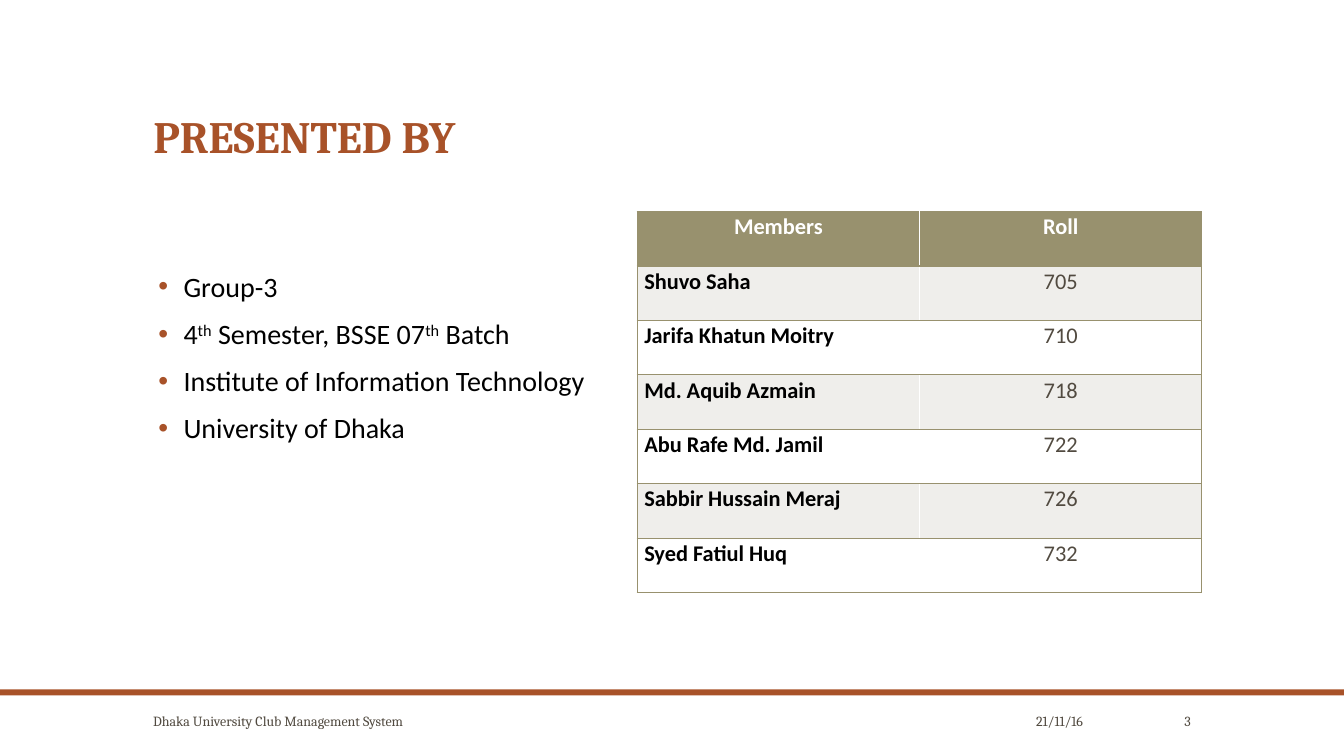
from lxml.etree import SubElement
from pptx import Presentation
from pptx.dml.color import RGBColor
from pptx.enum.shapes import MSO_SHAPE as Shape
from pptx.enum.text import MSO_ANCHOR as Anchor, MSO_AUTO_SIZE as AutoSize, PP_ALIGN as Align
from pptx.oxml.ns import qn
from pptx.util import Inches, Pt

COLORS = {"rust": "A85229", "olive": "98916E", "band": "EFEEEB",
          "white": "FFFFFF", "black": "000000", "gray": "514A40"}
LEFT, CONTENT_W = 1.42, 10.5
ROW_H, COL_W = 0.54, 2.8


def style(font, name, size, color, bold=False):
    for key, value in {"name": name, "size": Pt(size), "bold": bold}.items():
        setattr(font, key, value)
    font.color.rgb = RGBColor.from_string(COLORS[color])


def place(shape, *box):
    for side, inches in zip(("left", "top", "width", "height"), box):
        setattr(shape, side, Inches(inches))


deck = Presentation()
deck.slide_width, deck.slide_height = Inches(13.33), Inches(7.5)
slide = deck.slides.add_slide(deck.slide_layouts[1])

# Rule above the footer
rule = slide.shapes.add_shape(Shape.RECTANGLE, 0, Inches(6.84), deck.slide_width, Inches(0.06))
rule.shadow.inherit = False
rule.fill.solid()
rule.fill.fore_color.rgb = RGBColor.from_string(COLORS["rust"])
rule.line.fill.background()

# Title
title = slide.shapes.title
place(title, LEFT, 0.42, CONTENT_W, 1.25)
title.text_frame.text = "PRESENTED BY"
title.text_frame.vertical_anchor = Anchor.BOTTOM
title.text_frame.auto_size = AutoSize.NONE
heading = title.text_frame.paragraphs[0]
heading.alignment, heading.line_spacing = Align.LEFT, 0.9
style(heading.runs[0].font, "Cambria", 32, "rust", True)

# Group details; every second piece of a line is superscript
details = [
    ["Group-3"],
    ["4", "th", " Semester, BSSE 07", "th", " Batch"],
    ["Institute of Information Technology"],
    ["University of Dhaka"],
]
body = slide.placeholders[1]
place(body, LEFT, 2.6, 4.8, 3.57)
body.text_frame.auto_size = AutoSize.NONE
for i, pieces in enumerate(details):
    item = body.text_frame.paragraphs[0] if i == 0 else body.text_frame.add_paragraph()
    item.line_spacing, item.space_before, item.space_after = 1.07, Pt(0), Pt(8)
    props = item._p.get_or_add_pPr()
    props.set("marL", str(Inches(0.3)))
    props.set("indent", str(Inches(-0.25)))
    bullet_color = SubElement(props, qn("a:buClr"))
    SubElement(bullet_color, qn("a:srgbClr"), val=COLORS["rust"])
    SubElement(props, qn("a:buFont"), typeface="Arial")
    SubElement(props, qn("a:buChar"), char="•")
    for j, piece in enumerate(pieces):
        run = item.add_run()
        run.text = piece
        style(run.font, "Calibri", 20, "black")
        if j % 2:
            run._r.get_or_add_rPr().set("baseline", "30000")

# Members table
members = [
    ("Members", "Roll"),
    ("Shuvo Saha", "705"),
    ("Jarifa Khatun Moitry", "710"),
    ("Md. Aquib Azmain", "718"),
    ("Abu Rafe Md. Jamil", "722"),
    ("Sabbir Hussain Meraj", "726"),
    ("Syed Fatiul Huq", "732"),
]
roster = slide.shapes.add_table(len(members), 2, Inches(6.32), Inches(2.1),
                                Inches(2 * COL_W), Inches(len(members) * ROW_H)).table
for column in roster.columns:
    column.width = Inches(COL_W)
for r, record in enumerate(members):
    roster.rows[r].height = Inches(ROW_H)
    for c, value in enumerate(record):
        cell = roster.cell(r, c)
        cell.text = value
        cell.margin_left = cell.margin_right = Inches(0.07)
        cell.margin_top = cell.margin_bottom = 0
        for edge in ("lnR" if c else "lnL", "lnT", "lnB"):
            border = SubElement(cell._tc.get_or_add_tcPr(), qn(f"a:{edge}"), w=str(Pt(1)))
            SubElement(SubElement(border, qn("a:solidFill")), qn("a:srgbClr"), val=COLORS["olive"])
        fill = "olive" if r == 0 else "band" if r % 2 else "white"
        cell.fill.solid()
        cell.fill.fore_color.rgb = RGBColor.from_string(COLORS[fill])
        entry = cell.text_frame.paragraphs[0]
        entry.line_spacing = 1.07
        entry.alignment = Align.CENTER if r == 0 or c else Align.JUSTIFY
        color = "white" if r == 0 else "gray" if c else "black"
        style(entry.runs[0].font, "Calibri", 16, color, r == 0 or c == 0)

# Footer
footer = [
    ("Dhaka University Club Management System", LEFT, 5.67, Align.LEFT),
    ("21/11/16", 9.36, 1.48, Align.RIGHT),
    ("3", 11.15, 0.76, Align.RIGHT),
]
for text, left, width, alignment in footer:
    note = slide.shapes.add_textbox(Inches(left), Inches(7.02), Inches(width), Inches(0.26)).text_frame
    note.word_wrap, note.vertical_anchor = True, Anchor.MIDDLE
    note.text = text
    note.paragraphs[0].alignment = alignment
    style(note.paragraphs[0].runs[0].font, "Cambria", 10, "gray")

deck.save("out.pptx")
